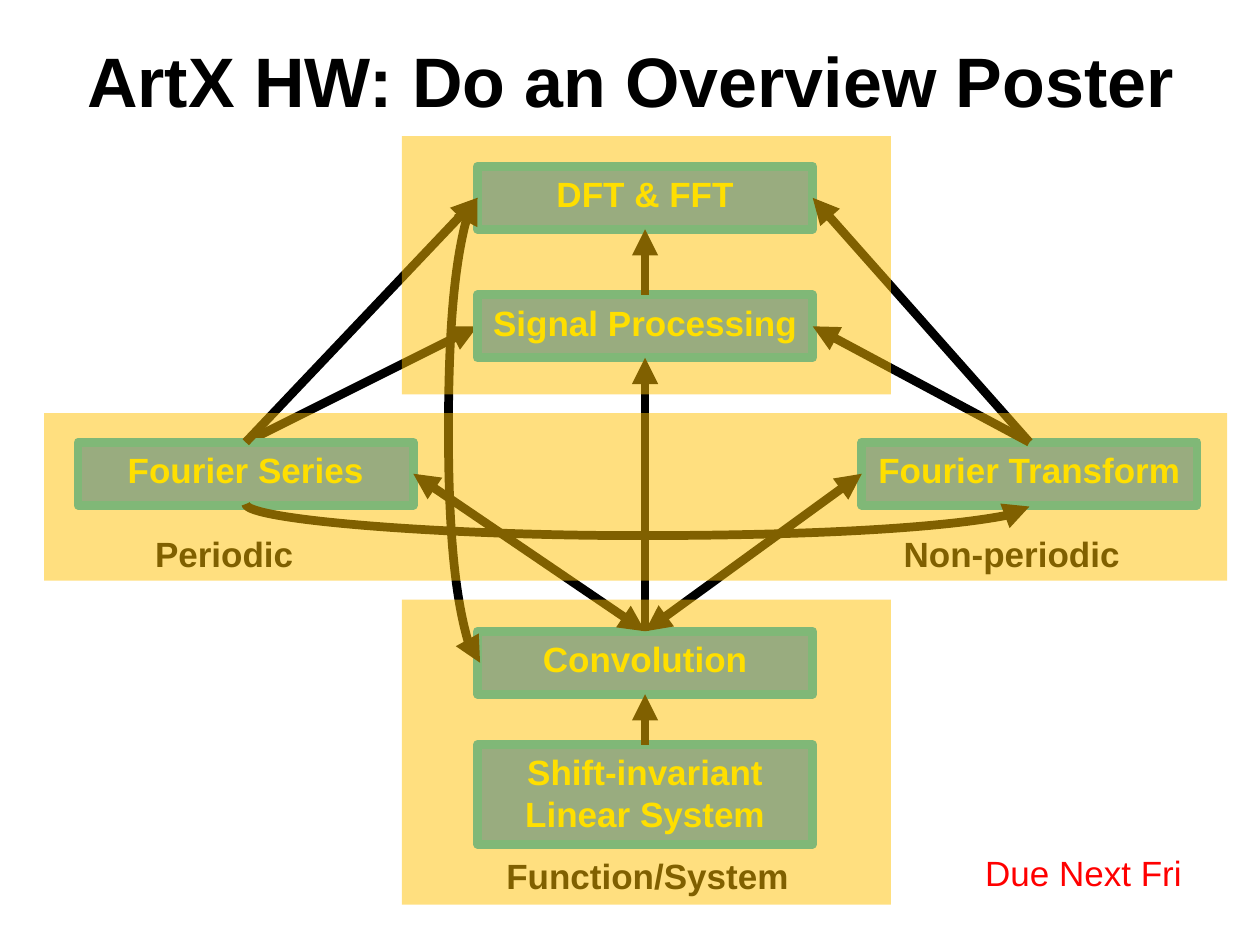
from dataclasses import dataclass

from lxml.etree import SubElement
from pptx import Presentation
from pptx.dml.color import RGBColor
from pptx.enum.shapes import MSO_CONNECTOR, MSO_SHAPE
from pptx.enum.text import MSO_ANCHOR, PP_ALIGN
from pptx.oxml.ns import qn
from pptx.util import Inches, Pt


@dataclass(frozen=True)
class Theme:
    font: str = "Arial"
    title_size: int = 40
    body_size: int = 20
    line_width: int = 5
    ink: str = "000000"
    box_fill: str = "3399FF"
    box_line: str = "00B0F0"
    box_text: str = "FFFF00"
    group_fill: str = "FFC000"
    group_opacity: int = 50
    notice: str = "FF0000"


THEME = Theme()

# Grid: column centres and row tops, in inches
LEFT, MIDDLE, RIGHT = 1.95, 5.12, 8.17
DFT, SIGNAL, FOURIER, CONVOLUTION, SYSTEM = 1.32, 2.34, 3.51, 5.01, 5.91
BOX_WIDTH, BOX_HEIGHT, TALL_HEIGHT = 2.66, 0.5, 0.79
HALF_WIDTH, HALF_HEIGHT = BOX_WIDTH / 2, BOX_HEIGHT / 2
BOX_LEFT, BOX_RIGHT = MIDDLE - HALF_WIDTH, MIDDLE + HALF_WIDTH
CURVE_DEPTH = 0.25

BOXES = [
    ("Shift-invariant Linear System", MIDDLE, SYSTEM, TALL_HEIGHT),
    ("Convolution", MIDDLE, CONVOLUTION, BOX_HEIGHT),
    ("Fourier Series", LEFT, FOURIER, BOX_HEIGHT),
    ("Fourier Transform", RIGHT, FOURIER, BOX_HEIGHT),
    ("Signal Processing", MIDDLE, SIGNAL, BOX_HEIGHT),
    ("DFT & FFT", MIDDLE, DFT, BOX_HEIGHT),
]
LABELS = [
    ("Periodic", 1.78, 4.18),
    ("Non-periodic", 8.03, 4.18),
    ("Function/System", 5.14, 6.73),
]
GROUPS = [
    (3.19, 1.08, 3.88, 2.05),
    (3.19, 4.76, 3.88, 2.42),
    (0.35, 3.28, 9.39, 1.33),
]


def rgb(color):
    return RGBColor.from_string(color)


def write(shape, text, color, size=THEME.body_size, bold=True,
          anchor=MSO_ANCHOR.TOP):
    frame = shape.text_frame
    frame.word_wrap = True
    frame.vertical_anchor = anchor
    paragraph = frame.paragraphs[0]
    paragraph.alignment = PP_ALIGN.CENTER
    run = paragraph.add_run()
    run.text = text
    run.font.name = THEME.font
    run.font.size = Pt(size)
    run.font.bold = bold
    run.font.color.rgb = rgb(color)


def add_rectangle(slide, left, top, width, height, fill):
    shape = slide.shapes.add_shape(
        MSO_SHAPE.RECTANGLE, *map(Inches, (left, top, width, height)))
    shape.shadow.inherit = False
    shape.fill.solid()
    shape.fill.fore_color.rgb = rgb(fill)
    shape.line.fill.background()
    return shape


def add_box(slide, text, center, top, height):
    shape = add_rectangle(slide, center - HALF_WIDTH, top, BOX_WIDTH, height,
                          THEME.box_fill)
    shape.line.color.rgb = rgb(THEME.box_line)
    shape.line.width = Pt(THEME.line_width)
    write(shape, text, THEME.box_text)


def add_group_area(slide, left, top, width, height):
    shape = add_rectangle(slide, left, top, width, height, THEME.group_fill)
    color = shape.fill._xPr.find(qn("a:solidFill"))[0]
    SubElement(color, qn("a:alpha"), val=str(THEME.group_opacity * 1000))


def add_label(slide, text, center, top, color=THEME.ink, bold=True):
    label = slide.shapes.add_textbox(
        *map(Inches, (center - HALF_WIDTH, top, BOX_WIDTH, BOX_HEIGHT)))
    write(label, text, color, bold=bold)


def add_arrow(slide, start, end, both_ends=False, kind=MSO_CONNECTOR.STRAIGHT):
    arrow = slide.shapes.add_connector(kind, *map(Inches, (*start, *end)))
    arrow.line.color.rgb = rgb(THEME.ink)
    arrow.line.width = Pt(THEME.line_width)
    line = arrow.line._get_or_add_ln()
    if both_ends:
        SubElement(line, qn("a:headEnd"), type="triangle")
    SubElement(line, qn("a:tailEnd"), type="triangle")
    SubElement(arrow._element.spPr, qn("a:effectLst"))
    return arrow


def add_curve(slide, start, end, both_ends=False, rotation=0):
    """Bow a curve by CURVE_DEPTH; start and end are given before rotation."""
    curve = add_arrow(slide, start, end, both_ends, MSO_CONNECTOR.CURVE)
    properties = curve._element.spPr
    properties.find(qn("a:xfrm")).set("rot", str(rotation * 60000))
    geometry = properties.find(qn("a:prstGeom"))
    adjustments = geometry.find(qn("a:avLst"))
    if adjustments is None:
        adjustments = SubElement(geometry, qn("a:avLst"))
    bend = round(CURVE_DEPTH / abs(end[0] - start[0]) * 100000)
    SubElement(adjustments, qn("a:gd"), name="adj1", fmla=f"val {bend}")


def add_arrows(slide):
    for center, edge in ((LEFT, BOX_LEFT), (RIGHT, BOX_RIGHT)):
        add_arrow(slide, (center, FOURIER), (edge, DFT + HALF_HEIGHT))
    add_arrow(slide, (RIGHT, FOURIER), (BOX_RIGHT, SIGNAL + HALF_HEIGHT))

    for lower, upper in ((SYSTEM, CONVOLUTION), (CONVOLUTION, SIGNAL),
                         (SIGNAL, DFT)):
        add_arrow(slide, (MIDDLE, lower), (MIDDLE, upper + BOX_HEIGHT))

    add_curve(slide, (BOX_LEFT + 0.02, CONVOLUTION + HALF_HEIGHT),
              (BOX_LEFT, DFT + HALF_HEIGHT), both_ends=True)
    for edge in (RIGHT - HALF_WIDTH, LEFT + HALF_WIDTH):
        add_arrow(slide, (edge, FOURIER + HALF_HEIGHT),
                  (MIDDLE, CONVOLUTION), both_ends=True)

    span = RIGHT - LEFT
    center, base = (LEFT + RIGHT) / 2, FOURIER + BOX_HEIGHT
    add_curve(slide, (center + 0.01, base - span / 2),
              (center - 0.01, base + span / 2), rotation=270)


def main():
    presentation = Presentation()
    presentation.slide_width, presentation.slide_height = Inches(10), Inches(7.5)
    slide = presentation.slides.add_slide(presentation.slide_layouts[6])

    title = slide.shapes.add_textbox(*map(Inches, (0.17, 0.17, 9.67, 0.92)))
    write(title, "ArtX HW: Do an Overview Poster", THEME.ink,
          THEME.title_size, anchor=MSO_ANCHOR.MIDDLE)

    # This arrow runs behind the boxes
    add_arrow(slide, (LEFT, FOURIER), (BOX_LEFT, SIGNAL + HALF_HEIGHT))
    for box in BOXES:
        add_box(slide, *box)
    add_arrows(slide)
    for label in LABELS:
        add_label(slide, *label)
    for area in GROUPS:
        add_group_area(slide, *area)
    add_label(slide, "Due Next Fri", 8.6, 6.71, THEME.notice, bold=False)

    presentation.save("out.pptx")


if __name__ == "__main__":
    main()
